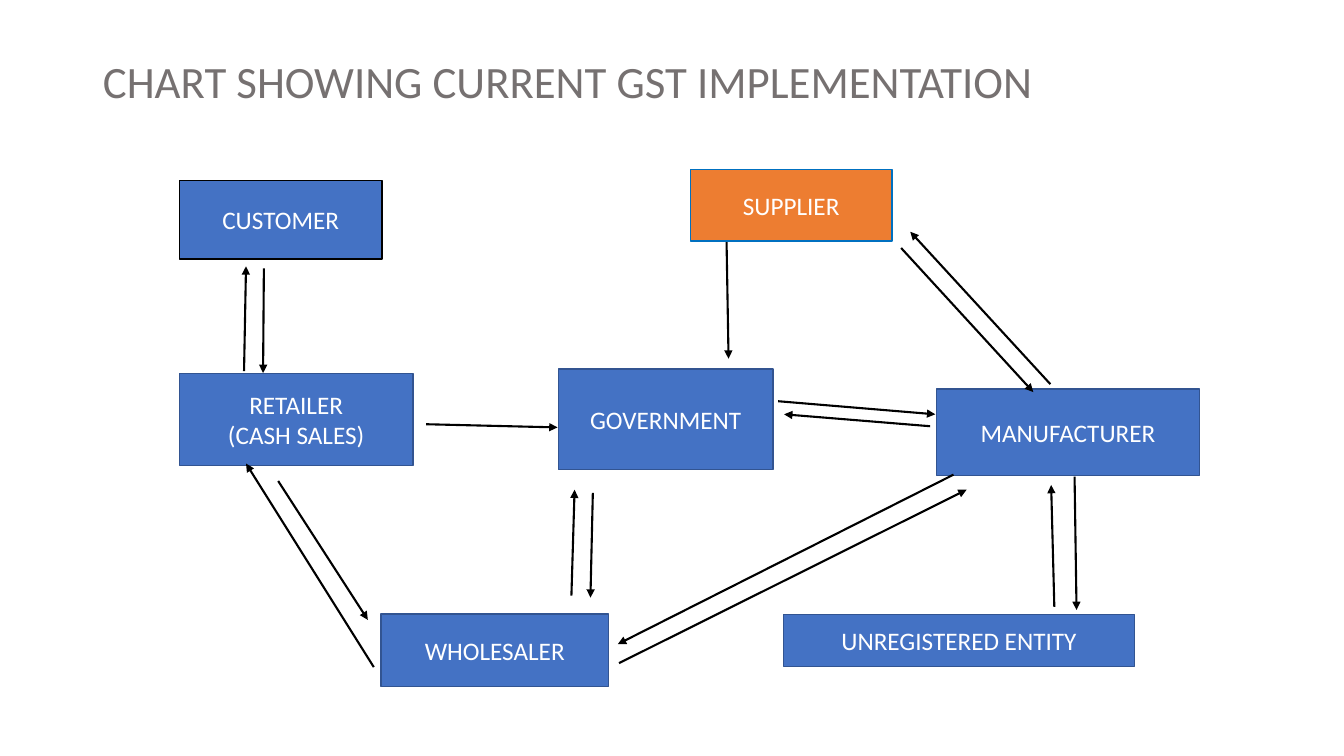
from lxml import etree
from pptx import Presentation
from pptx.dml.color import RGBColor
from pptx.enum.shapes import MSO_CONNECTOR, MSO_SHAPE
from pptx.enum.text import MSO_ANCHOR, MSO_AUTO_SIZE, PP_ALIGN
from pptx.oxml.ns import qn
from pptx.util import Cm, Pt

FONT = "Calibri"
COLORS = {
    "title": "767171",
    "text": "FFFFFF",
    "blue": "4472C4",
    "orange": "ED7D31",
    "navy": "325491",
    "azure": "0070C0",
    "black": "000000",
}

TITLE = "CHART SHOWING CURRENT GST IMPLEMENTATION"
TITLE_AREA = (2.34, 1.02, 29.21, 2.18)

# Party, (left, top, width, height) in cm, fill, outline
PARTIES = [
    ("SUPPLIER", (17.4, 4.27, 5.08, 1.8), "orange", "azure"),
    ("CUSTOMER", (4.52, 4.55, 5.11, 1.98), "blue", "black"),
    ("RETAILER\n(CASH SALES)", (4.52, 9.42, 5.89, 2.31), "blue", "navy"),
    ("GOVERNMENT", (14.07, 9.3, 5.41, 2.54), "blue", "navy"),
    ("MANUFACTURER", (23.6, 9.8, 6.63, 2.18), "blue", "navy"),
    ("WHOLESALER", (9.6, 15.47, 5.74, 1.83), "blue", "navy"),
    ("UNREGISTERED ENTITY", (19.74, 15.49, 8.86, 1.3), "blue", "navy"),
]

# Arrows between each pair of parties: (start x, start y, end x, end y) in cm
FLOWS = {
    "wholesaler - manufacturer": [(15.6, 16.71, 24.36, 12.34),
                                  (24.03, 11.96, 15.57, 16.23)],
    "unregistered entity - manufacturer": [(26.57, 15.29, 26.49, 12.22),
                                           (27.08, 12.01, 27.13, 15.37)],
    "wholesaler - retailer": [(9.42, 16.81, 6.2, 11.68),
                              (7.01, 12.12, 9.27, 15.62)],
    "retailer - customer": [(6.15, 9.35, 6.2, 6.71),
                            (6.65, 6.76, 6.63, 9.4)],
    "supplier - government": [(18.31, 6.1, 18.36, 9.04)],
    "supplier - manufacturer": [(22.71, 6.25, 26.04, 9.88),
                                (26.47, 9.68, 22.94, 5.84)],
    "wholesaler - government": [(14.4, 15.01, 14.48, 12.34),
                                (14.94, 12.42, 14.88, 15.06)],
    "retailer - government": [(10.74, 10.69, 14.05, 10.77)],
    "government - manufacturer": [(19.61, 10.11, 23.57, 10.44),
                                  (23.44, 10.74, 19.76, 10.44)],
}


def color(key):
    """Return the named colour."""
    return RGBColor.from_string(COLORS[key])


def style_text(frame, size, color_key, align):
    """Centre the text vertically and format every paragraph."""
    frame.word_wrap = True
    frame.vertical_anchor = MSO_ANCHOR.MIDDLE
    for paragraph in frame.paragraphs:
        paragraph.alignment = align
        paragraph.font.name = FONT
        paragraph.font.size = Pt(size)
        paragraph.font.color.rgb = color(color_key)


def add_title(slide):
    """Fill and place the title placeholder."""
    title = slide.shapes.title
    title.left, title.top, title.width, title.height = map(Cm, TITLE_AREA)
    title.text_frame.text = TITLE
    title.text_frame.auto_size = MSO_AUTO_SIZE.NONE
    style_text(title.text_frame, 32, "title", PP_ALIGN.LEFT)
    title.text_frame.paragraphs[0].line_spacing = 0.9


def add_party(slide, label, area, fill, outline):
    """Add the labelled box of one party."""
    party = slide.shapes.add_shape(MSO_SHAPE.RECTANGLE, *map(Cm, area))
    party.shadow.inherit = False
    party.fill.solid()
    party.fill.fore_color.rgb = color(fill)
    party.line.color.rgb = color(outline)
    party.line.width = Pt(1)
    party.text_frame.text = label
    style_text(party.text_frame, 18, "text", PP_ALIGN.CENTER)


def add_flow(slide, ends):
    """Add one arrow with its head at the end point."""
    flow = slide.shapes.add_connector(MSO_CONNECTOR.STRAIGHT, *map(Cm, ends))
    flow.line.color.rgb = color("black")
    flow.line.width = Pt(1.5)
    etree.SubElement(flow.line._get_or_add_ln(), qn("a:tailEnd"), type="triangle")
    etree.SubElement(flow._element.spPr, qn("a:effectLst"))


def main():
    """Build and save the slide."""
    deck = Presentation()
    deck.slide_width, deck.slide_height = Cm(33.87), Cm(19.05)
    slide = deck.slides.add_slide(deck.slide_layouts.get_by_name("Title Only"))
    add_title(slide)
    for party in PARTIES:
        add_party(slide, *party)
    for arrows in FLOWS.values():
        for ends in arrows:
            add_flow(slide, ends)
    deck.save("out.pptx")


main()
